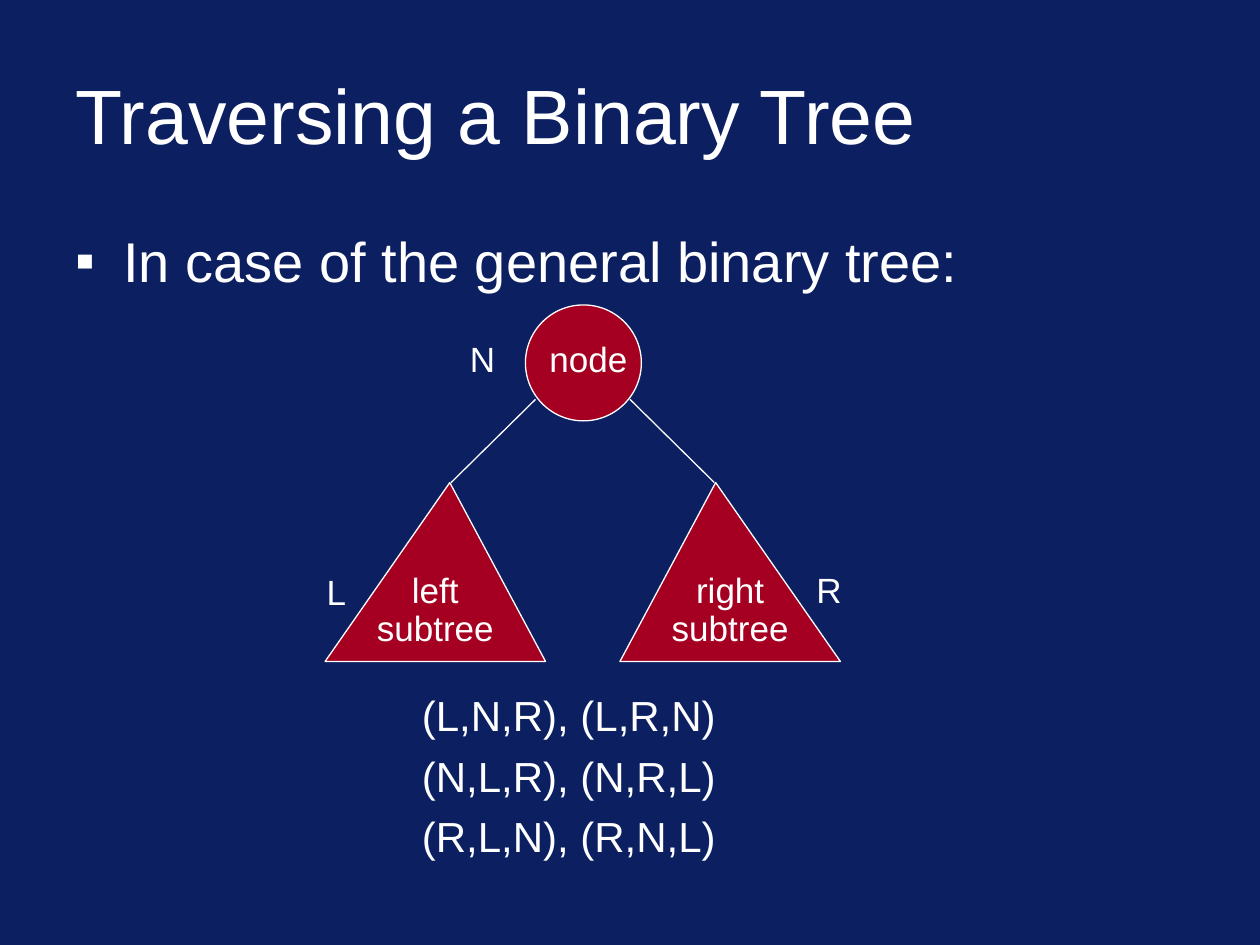
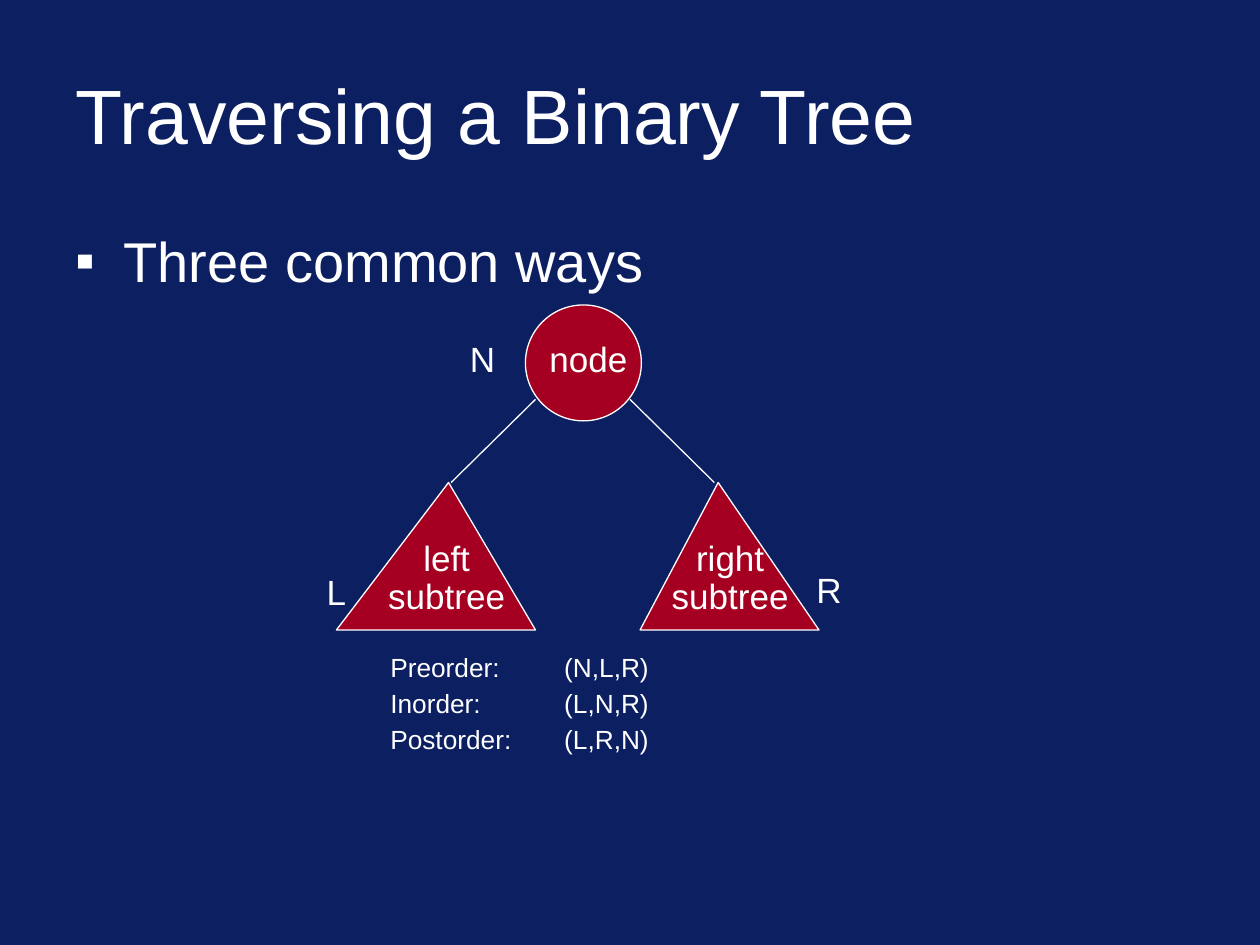
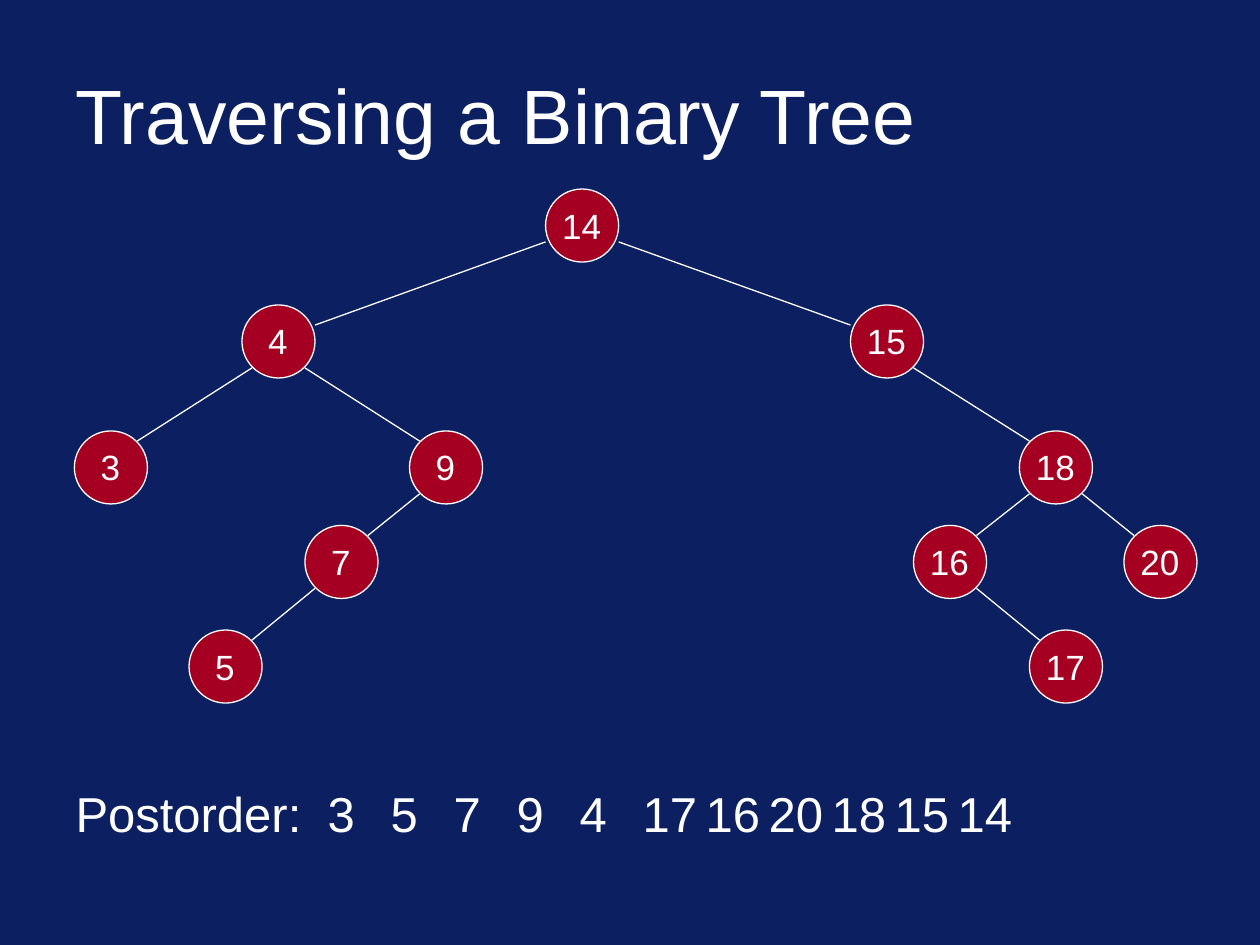
from dataclasses import dataclass

from lxml import etree
from pptx import Presentation
from pptx.dml.color import RGBColor
from pptx.enum.shapes import MSO_CONNECTOR, MSO_SHAPE
from pptx.enum.text import MSO_ANCHOR, MSO_AUTO_SIZE, PP_ALIGN
from pptx.oxml.ns import qn
from pptx.util import Inches, Pt

STRAIGHT = MSO_CONNECTOR.STRAIGHT
OVAL = MSO_SHAPE.OVAL
MIDDLE, TOP = MSO_ANCHOR.MIDDLE, MSO_ANCHOR.TOP
NO_FIT, GROW = MSO_AUTO_SIZE.NONE, MSO_AUTO_SIZE.SHAPE_TO_FIT_TEXT
LEFT, CENTER = PP_ALIGN.LEFT, PP_ALIGN.CENTER


@dataclass(frozen=True)
class Theme:
    background: RGBColor = RGBColor(0x0B, 0x1F, 0x61)
    node: RGBColor = RGBColor(0xA5, 0x00, 0x21)
    ink: RGBColor = RGBColor(0xFF, 0xFF, 0xFF)
    font: str = "Arial"
    outline: float = 0.75
    title: int = 44
    bullet: int = 32
    sequence: int = 28
    orders: int = 24
    label: int = 20
    named_orders: int = 15


THEME = Theme()
TITLE = "Traversing a Binary Tree"
LABEL_HEIGHT = 0.44
NODE_DIAMETER = 0.58

# Centre of each tree node, by its value
TREE_NODES = {
    14: (4.62, 1.79), 4: (2.21, 2.71), 15: (7.04, 2.71),
    3: (0.88, 3.71), 9: (3.54, 3.71), 18: (8.38, 3.71),
    7: (2.71, 4.46), 16: (7.54, 4.46), 20: (9.21, 4.46),
    5: (1.79, 5.29), 17: (8.46, 5.29),
}
TREE_EDGES = [(14, 4), (14, 15), (4, 3), (4, 9), (15, 18), (9, 7),
              (18, 16), (18, 20), (7, 5), (16, 17)]
POSTORDER = [3, 5, 7, 9, 4, 17, 16, 20, 18, 15, 14]


def inches(*lengths):
    return [Inches(length) for length in lengths]


def write(frame, lines, size, align=LEFT, before=0, spacing=None):
    frame.word_wrap = True
    frame.text = "\n".join(lines)
    for paragraph in frame.paragraphs:
        paragraph.alignment = align
        paragraph.space_before = Pt(before)
        if spacing:
            paragraph.line_spacing = spacing
        paragraph.font.size = Pt(size)
        paragraph.font.name = THEME.font
        paragraph.font.color.rgb = THEME.ink


def set_bullet(paragraph, char=None):
    """Give the paragraph a hanging bullet, or remove bullet and indent."""
    properties = paragraph._p.get_or_add_pPr()
    indent = Inches(0.38) if char else 0
    properties.set("marL", str(indent))
    properties.set("indent", str(-indent))
    if char:
        color = etree.SubElement(properties, qn("a:buClr"))
        etree.SubElement(color, qn("a:srgbClr"), val=str(THEME.ink))
        etree.SubElement(properties, qn("a:buFont"), typeface=THEME.font)
        etree.SubElement(properties, qn("a:buChar"), char=char)
    else:
        etree.SubElement(properties, qn("a:buNone"))


def set_tabs(paragraph, stops):
    tabs = etree.SubElement(paragraph._p.get_or_add_pPr(), qn("a:tabLst"))
    for stop in stops:
        etree.SubElement(tabs, qn("a:tab"), pos=str(Inches(stop)), algn="l")


def fill_placeholder(placeholder, box, line, size, anchor=TOP, before=0):
    placeholder.left, placeholder.top, placeholder.width, placeholder.height = inches(*box)
    frame = placeholder.text_frame
    write(frame, [line], size, before=before)
    frame.auto_size = NO_FIT
    frame.vertical_anchor = anchor
    return frame.paragraphs[0]


def add_titled_slide(prs):
    slide = prs.slides.add_slide(prs.slide_layouts[1])
    fill_placeholder(slide.shapes.title, (0.5, 0.4, 9, 1), TITLE, THEME.title, MIDDLE)
    return slide


def add_text(shapes, box, lines, size, **style):
    textbox = shapes.add_textbox(*inches(*box))
    write(textbox.text_frame, lines, size, **style)
    return textbox.text_frame


def add_label(shapes, box, text, spacing=None):
    frame = add_text(shapes, box, [text], THEME.label, align=CENTER, spacing=spacing)
    frame.auto_size = GROW


def paint(shape):
    shape.shadow.inherit = False
    shape.fill.solid()
    shape.fill.fore_color.rgb = THEME.node
    shape.line.color.rgb = THEME.ink
    shape.line.width = Pt(THEME.outline)


def add_circle(shapes, left, top, diameter):
    paint(shapes.add_shape(OVAL, *inches(left, top, diameter, diameter)))


def add_triangle(shapes, apex, left, right, base):
    outline = shapes.build_freeform(*inches(*apex))
    outline.add_line_segments([inches(left, base), inches(right, base)], close=True)
    paint(outline.convert_to_shape())


def add_edge(shapes, start, end):
    edge = shapes.add_connector(STRAIGHT, *inches(*start, *end))
    edge.line.color.rgb = THEME.ink
    edge.line.width = Pt(THEME.outline)
    etree.SubElement(edge._element.spPr, qn("a:effectLst"))


def add_subtree_diagram(slide, subtrees, base, text_top):
    """Draw a node over two subtrees, each given as name, apex x, left, right and text left."""
    shapes = slide.shapes
    add_circle(shapes, 4.17, 2.42, 0.92)
    add_label(shapes, (4.17, 2.63, 1, LABEL_HEIGHT), "node")
    add_edge(shapes, (4.25, 3.17), (3.58, 3.83))
    add_edge(shapes, (5, 3.17), (5.67, 3.83))
    for name, apex, left, right, text_left in subtrees:
        add_triangle(shapes, (apex, 3.83), left, right, base)
        add_label(shapes, (text_left, text_top, 1.25, 0.7), name, spacing=0.9)
    for letter, left, top in [("L", 2.42, 4.52), ("N", 3.58, 2.67), ("R", 6.33, 4.5)]:
        add_label(shapes, (left, top, 0.5, 0.4), letter, spacing=0.9)


def add_bullet_slide(prs, line):
    slide = add_titled_slide(prs)
    bullet = fill_placeholder(slide.placeholders[1], (0.5, 1.75, 9, 1), line,
                              THEME.bullet, before=8)
    set_bullet(bullet, "▪")
    return slide


def add_general_slide(prs):
    slide = add_bullet_slide(prs, "In case of the general binary tree:")
    add_subtree_diagram(slide, [("left subtree", 3.57, 2.58, 4.33, 2.83),
                                ("right subtree", 5.68, 4.92, 6.67, 5.17)],
                        base=5.25, text_top=4.5)
    add_text(slide.shapes, (3.25, 5.42, 3.33, 1.58),
             ["(L,N,R), (L,R,N)", "(N,L,R), (N,R,L)", "(R,L,N), (R,N,L)"],
             THEME.orders, before=6)


def add_common_slide(prs):
    slide = add_bullet_slide(prs, "Three common ways")
    add_subtree_diagram(slide, [("left subtree", 3.56, 2.67, 4.25, 2.92),
                                ("right subtree", 5.7, 5.08, 6.5, 5.17)],
                        base=5, text_top=4.25)
    orders = add_text(slide.shapes, (3, 5.17, 3.33, 1.5),
                      ["Preorder:\t(N,L,R)", "Inorder:\t(L,N,R)", "Postorder:\t(L,R,N)"],
                      THEME.named_orders, before=6, spacing=0.8)
    for paragraph in orders.paragraphs:
        set_tabs(paragraph, [1.38])


def add_tree_node(shapes, value, center):
    x, y = center
    group = shapes.add_group_shape().shapes
    radius = NODE_DIAMETER / 2
    add_circle(group, x - radius, y - radius, NODE_DIAMETER)
    add_label(group, (x - 0.38, y - LABEL_HEIGHT / 2, 0.75, LABEL_HEIGHT), str(value))


def connect_nodes(shapes, parent, child):
    """Join the facing sides of two nodes; wide edges leave nearer the horizontal."""
    (x1, y1), (x2, y2) = parent, child
    dx, dy = (0.29, 0.13) if abs(x2 - x1) > 2 else (0.21, 0.21)
    if x2 < x1:
        dx = -dx
    add_edge(shapes, (x1 + dx, y1 + dy), (x2 - dx, y2 - dy))


def sequence_stops(values, start):
    """Tab stops that leave one digit's width between successive numbers."""
    digit_width = 0.56 * THEME.sequence / 72
    stops = [start]
    for value in values[:-1]:
        stops.append(stops[-1] + digit_width * (len(str(value)) + 1))
    return stops


def add_postorder_slide(prs):
    slide = add_titled_slide(prs)
    line = "\t".join(["Postorder:", *map(str, POSTORDER)])
    sequence = fill_placeholder(slide.placeholders[1], (0.5, 6.17, 9, 0.75), line,
                                THEME.sequence, before=7)
    set_bullet(sequence)
    set_tabs(sequence, sequence_stops(POSTORDER, 2.21))
    for parent, child in TREE_EDGES:
        connect_nodes(slide.shapes, TREE_NODES[parent], TREE_NODES[child])
    for value, center in TREE_NODES.items():
        add_tree_node(slide.shapes, value, center)


def main():
    prs = Presentation()
    prs.slide_width, prs.slide_height = inches(10, 7.5)
    backdrop = prs.slide_master.background.fill
    backdrop.solid()
    backdrop.fore_color.rgb = THEME.background
    add_general_slide(prs)
    add_common_slide(prs)
    add_postorder_slide(prs)
    prs.save("out.pptx")


if __name__ == "__main__":
    main()
